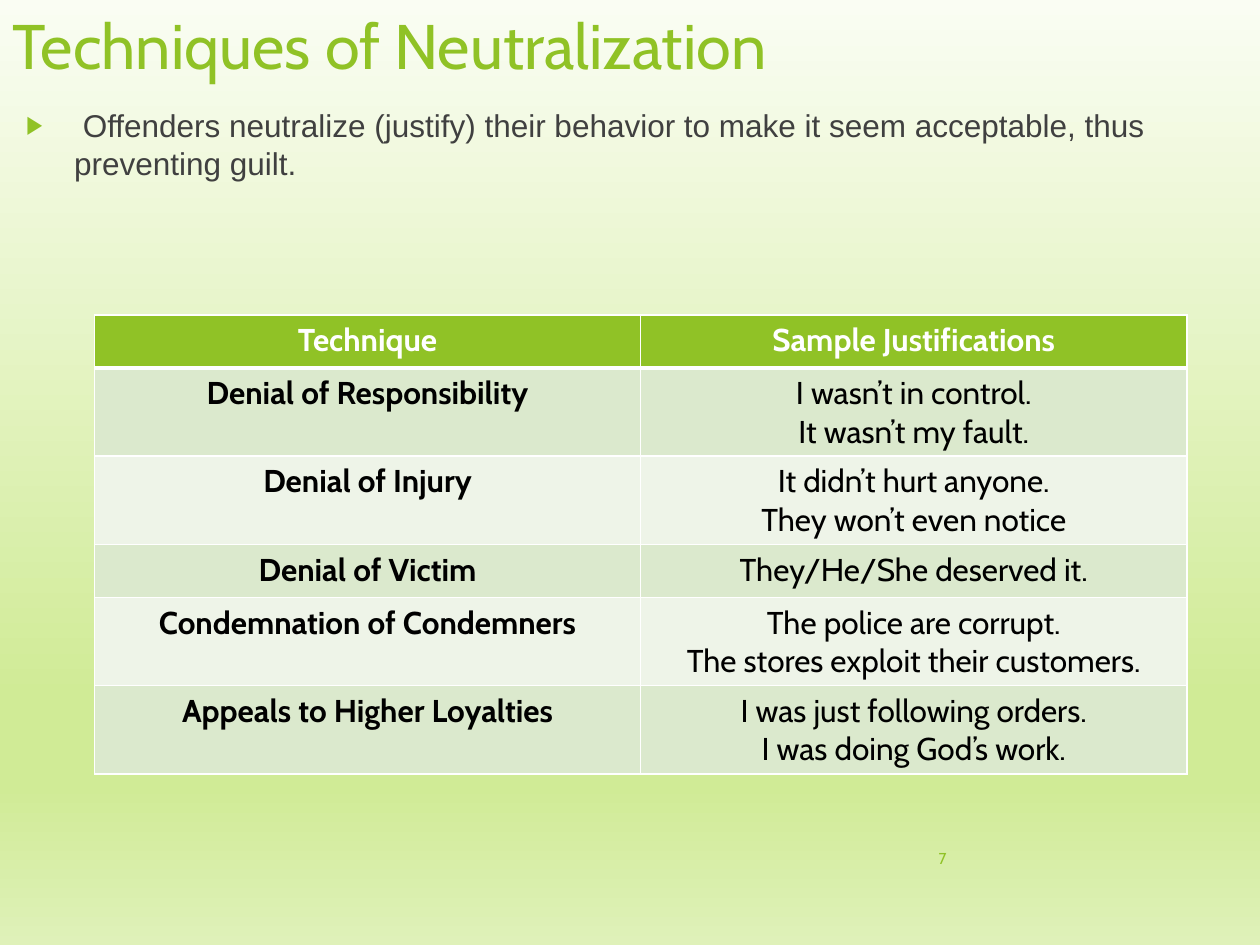
from dataclasses import dataclass

from lxml import etree
from pptx import Presentation
from pptx import util as u
from pptx.dml.color import RGBColor
from pptx.enum import text
from pptx.oxml import ns


@dataclass(frozen=True)
class Theme:
    """Colours, fonts and type sizes of the slide."""
    accent: str = "90C226"
    body: str = "404040"
    black: str = "000000"
    white: str = "FFFFFF"
    bands: tuple = ("DBE9CD", "EEF4E8")
    backdrop: tuple = ((0, "FAFDF3"), (74, "D0EB96"), (83, "D0EB96"), (100, "DFF1B9"))
    heading_font: str = "Cabin"
    body_font: str = "Arial"
    title_size: int = 36
    text_size: int = 18
    number_size: int = 9


THEME = Theme()
HEADINGS = ("Technique", "Sample Justifications")
TECHNIQUES = (
    ("Denial of Responsibility", "I wasn’t in control.\nIt wasn’t my fault."),
    ("Denial of Injury", "It didn’t hurt anyone.\nThey won’t even notice"),
    ("Denial of Victim", "They/He/She deserved it."),
    ("Condemnation of Condemners", "The police are corrupt.\nThe stores exploit their customers."),
    ("Appeals to Higher Loyalties", "I was just following orders.\nI was doing God’s work."),
)


def add_xml(parent, tag, **attributes):
    """Append a DrawingML element and return it."""
    return etree.SubElement(parent, ns.qn(tag), attributes)


def write(frame, words, size, color, font=THEME.heading_font, bold=False, align=text.PP_ALIGN.LEFT):
    """Fill a text frame and format its paragraphs."""
    frame.text = words
    for paragraph in frame.paragraphs:
        paragraph.alignment = align
        for run in paragraph.runs:
            run.font.name, run.font.size, run.font.bold = font, u.Pt(size), bold
            run.font.color.rgb = RGBColor.from_string(color)


def add_text(slide, box, words, size, color, **style):
    """Add a wrapping text box and return its frame."""
    frame = slide.shapes.add_textbox(*map(u.Inches, box)).text_frame
    frame.word_wrap = True
    write(frame, words, size, color, **style)
    return frame


def paint_background(slide):
    """Give the slide its vertical gradient."""
    fill = slide.background.fill
    fill.gradient()
    fill.gradient_angle = 270
    stops = slide.element.find(".//" + ns.qn("a:gsLst"))
    for stop in list(stops):
        stops.remove(stop)
    for position, color in THEME.backdrop:
        add_xml(add_xml(stops, "a:gs", pos=str(position * 1000)), "a:srgbClr", val=color)


def add_bullet_point(slide, box, words):
    """Add the statement with its triangle bullet."""
    frame = add_text(slide, box, words, THEME.text_size, THEME.body, font=THEME.body_font)
    properties = frame.paragraphs[0]._p.get_or_add_pPr()
    indent = u.Inches(0.38)
    properties.set("marL", str(indent))
    properties.set("indent", str(-indent))
    add_xml(add_xml(properties, "a:buClr"), "a:srgbClr", val=THEME.accent)
    add_xml(properties, "a:buSzPct", val="80000")
    add_xml(properties, "a:buFont", typeface=THEME.body_font)
    add_xml(properties, "a:buChar", char="▶")


def set_borders(cell, bottom):
    """Draw white cell borders, with the given bottom width in points."""
    properties = cell._tc.get_or_add_tcPr()
    for index, (side, width) in enumerate((("L", 1), ("R", 1), ("T", 1), ("B", bottom))):
        line = etree.Element(ns.qn(f"a:ln{side}"), w=str(u.Pt(width)))
        add_xml(add_xml(line, "a:solidFill"), "a:srgbClr", val=THEME.white)
        properties.insert(index, line)


def add_technique_table(slide, box):
    """Add the table of techniques and their justifications."""
    rows = (HEADINGS,) + TECHNIQUES
    table = slide.shapes.add_table(len(rows), len(HEADINGS), *map(u.Inches, box)).table
    for row_index, entries in enumerate(rows):
        header = row_index == 0
        table.rows[row_index].height = u.Inches(0.42)
        fill = THEME.accent if header else THEME.bands[(row_index - 1) % 2]
        color = THEME.white if header else THEME.black
        for column_index, words in enumerate(entries):
            cell = table.cell(row_index, column_index)
            cell.fill.solid()
            cell.fill.fore_color.rgb = RGBColor.from_string(fill)
            set_borders(cell, 3 if header else 1)
            write(cell.text_frame, words, THEME.text_size, color,
                  bold=header or column_index == 0, align=text.PP_ALIGN.CENTER)


def add_slide_number(slide, box, number):
    """Add the slide number, right-aligned and centred in height."""
    frame = add_text(slide, box, number, THEME.number_size, THEME.accent, align=text.PP_ALIGN.RIGHT)
    frame.vertical_anchor = text.MSO_ANCHOR.MIDDLE


def main():
    """Build and save the slide."""
    deck = Presentation()
    deck.slide_width, deck.slide_height = u.Inches(10), u.Inches(7.5)
    slide = deck.slides.add_slide(deck.slide_layouts[6])
    paint_background(slide)
    add_text(slide, (0, 0, 6.94, 1.44), "Techniques of Neutralization", THEME.title_size, THEME.accent)
    add_bullet_point(
        slide, (0.11, 0.79, 9.64, 4.24),
        " Offenders neutralize (justify) their behavior to make it seem acceptable, thus preventing guilt.")
    add_slide_number(slide, (7.05, 6.61, 0.56, 0.4), "7")
    add_technique_table(slide, (0.75, 2.5, 8.67, 3.63))
    deck.save("out.pptx")


if __name__ == "__main__":
    main()
